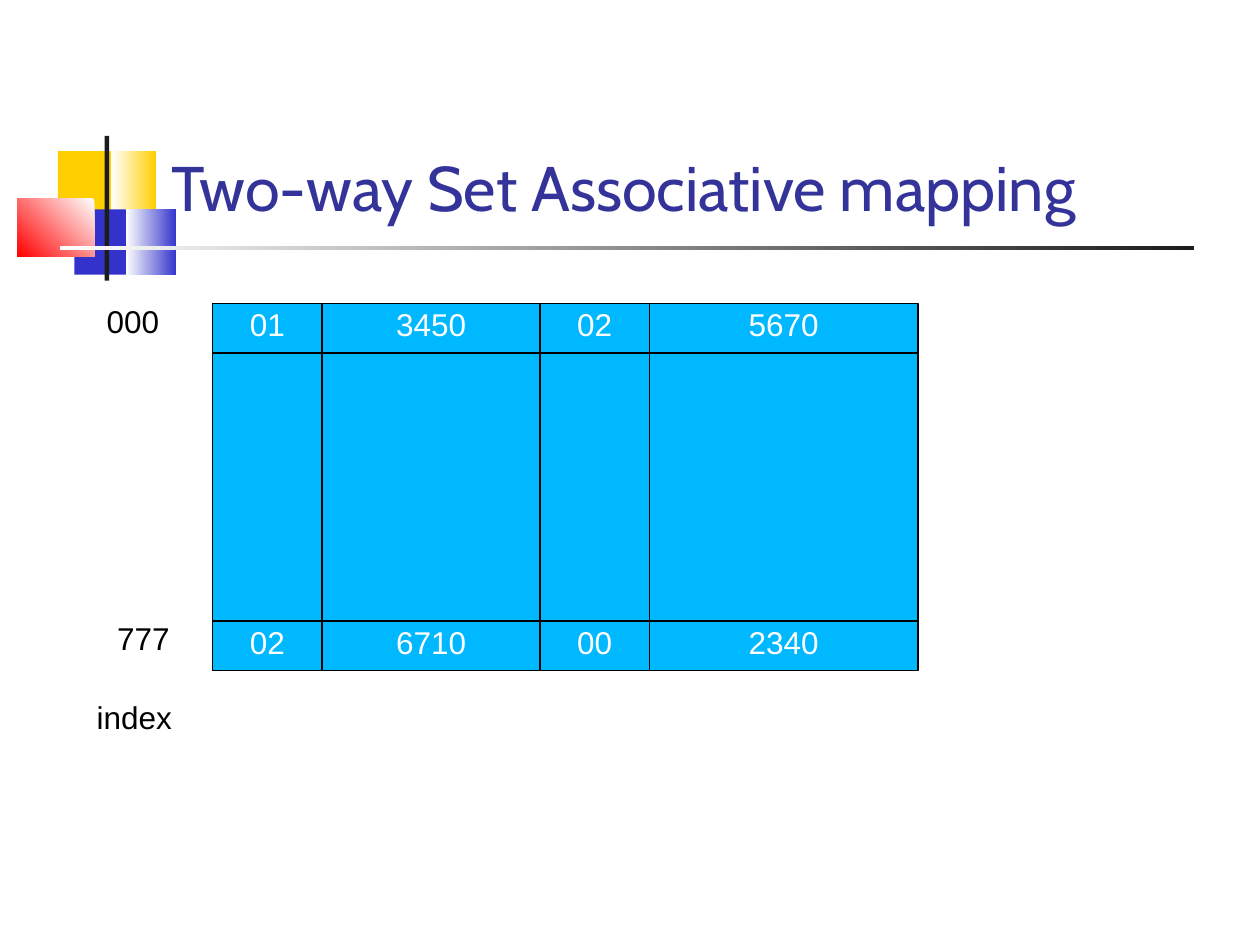
from dataclasses import dataclass
from itertools import accumulate
from typing import Optional

import pptx
import pptx.dml.color
import pptx.enum.shapes
import pptx.enum.text
import pptx.util

Cm = pptx.util.Cm
Pt = pptx.util.Pt
Anchor = pptx.enum.text.MSO_ANCHOR
Align = pptx.enum.text.PP_ALIGN

COLORS = {
    "yellow": "FFCF01",
    "blue": "3333CC",
    "red": "FF0000",
    "white": "FFFFFF",
    "charcoal": "1C1C1C",
    "title": "333399",
    "cell": "00B8FF",
    "black": "000000",
}


@dataclass
class Box:
    left: float
    top: float
    width: float
    height: float

    def lengths(self) -> tuple:
        return Cm(self.left), Cm(self.top), Cm(self.width), Cm(self.height)


@dataclass
class Ornament:
    box: Box
    color: str
    end_color: Optional[str] = None
    angle: float = 180


@dataclass
class Label:
    text: str
    box: Box
    anchor: Anchor = Anchor.BOTTOM
    font: str = "Arial"
    size: float = 18
    color: str = "black"
    line_spacing: float = 0.76
    grow: bool = True


ORNAMENTS = [
    Ornament(Box(1.17, 3.05, 1.22, 1.32), "yellow"),
    Ornament(Box(2.24, 3.05, 0.91, 1.32), "yellow", "white"),
    Ornament(Box(1.5, 4.22, 1.17, 1.32), "blue"),
    Ornament(Box(2.54, 4.22, 1.02, 1.32), "blue", "white"),
    Ornament(Box(0.35, 4.01, 1.55, 1.17), "white", "red", 225),
    Ornament(Box(2.11, 2.74, 0.09, 2.92), "charcoal"),
    Ornament(Box(1.22, 4.95, 22.86, 0.09), "charcoal", "white"),
]

LABELS = [
    Label("Two-way Set Associative mapping", Box(3.2, 0.56, 21.64, 4.09),
          font="Cabin", size=36, color="title", line_spacing=1.04, grow=False),
    Label("index", Box(1.7, 14.12, 3.81, 0.84), anchor=Anchor.TOP),
    Label("000", Box(1.9, 6.12, 2.01, 0.84)),
    Label("777", Box(2.11, 12.52, 2.01, 0.84)),
]

GRID_LEFT, GRID_TOP = 4.29, 6.12
COLUMN_WIDTHS = [2.2, 4.4, 2.2, 5.42]
ROW_HEIGHTS = [1, 5.4, 1]
CACHE_ROWS = [
    ["01", "3450", "02", "5670"],
    ["", "", "", ""],
    ["02", "6710", "00", "2340"],
]


def rgb(name: str) -> pptx.dml.color.RGBColor:
    return pptx.dml.color.RGBColor.from_string(COLORS[name])


def add_rectangle(slide, box: Box):
    shape = slide.shapes.add_shape(
        pptx.enum.shapes.MSO_SHAPE.RECTANGLE, *box.lengths())
    shape.shadow.inherit = False
    return shape


def write_text(paragraph, text: str, font: str, size: float, color: str,
               line_spacing: float) -> None:
    paragraph.line_spacing = line_spacing
    run = paragraph.add_run()
    run.text = text
    run.font.name = font
    run.font.size = Pt(size)
    run.font.color.rgb = rgb(color)


def draw_ornament(slide, ornament: Ornament) -> None:
    shape = add_rectangle(slide, ornament.box)
    shape.line.fill.background()
    if ornament.end_color is None:
        shape.fill.solid()
        shape.fill.fore_color.rgb = rgb(ornament.color)
        return
    shape.fill.gradient()
    shape.fill.gradient_angle = ornament.angle
    for stop, name in zip(shape.fill.gradient_stops,
                          (ornament.color, ornament.end_color)):
        stop.color.rgb = rgb(name)


def draw_cell(slide, box: Box, text: str) -> None:
    shape = add_rectangle(slide, box)
    shape.fill.solid()
    shape.fill.fore_color.rgb = rgb("cell")
    shape.line.color.rgb = rgb("black")
    shape.line.width = Pt(0.75)
    if text:
        frame = shape.text_frame
        frame.word_wrap = False
        frame.vertical_anchor = Anchor.MIDDLE
        paragraph = frame.paragraphs[0]
        paragraph.alignment = Align.CENTER
        write_text(paragraph, text, "Arial", 18, "white", 0.76)


def draw_cache(slide) -> None:
    lefts = accumulate(COLUMN_WIDTHS, initial=GRID_LEFT)
    columns = list(zip(lefts, COLUMN_WIDTHS))
    tops = accumulate(ROW_HEIGHTS, initial=GRID_TOP)
    for top, height, texts in zip(tops, ROW_HEIGHTS, CACHE_ROWS):
        for (left, width), text in zip(columns, texts):
            draw_cell(slide, Box(left, top, width, height), text)


def draw_label(slide, label: Label) -> None:
    frame = slide.shapes.add_textbox(*label.box.lengths()).text_frame
    frame.word_wrap = True
    frame.vertical_anchor = label.anchor
    if label.grow:
        frame.auto_size = pptx.enum.text.MSO_AUTO_SIZE.SHAPE_TO_FIT_TEXT
    write_text(frame.paragraphs[0], label.text, label.font, label.size,
               label.color, label.line_spacing)


def main() -> None:
    presentation = pptx.Presentation()
    presentation.slide_width = Cm(25.4)
    presentation.slide_height = Cm(19.05)
    slide = presentation.slides.add_slide(presentation.slide_layouts[6])
    for ornament in ORNAMENTS:
        draw_ornament(slide, ornament)
    draw_cache(slide)
    for label in LABELS:
        draw_label(slide, label)
    presentation.save("out.pptx")


if __name__ == "__main__":
    main()
